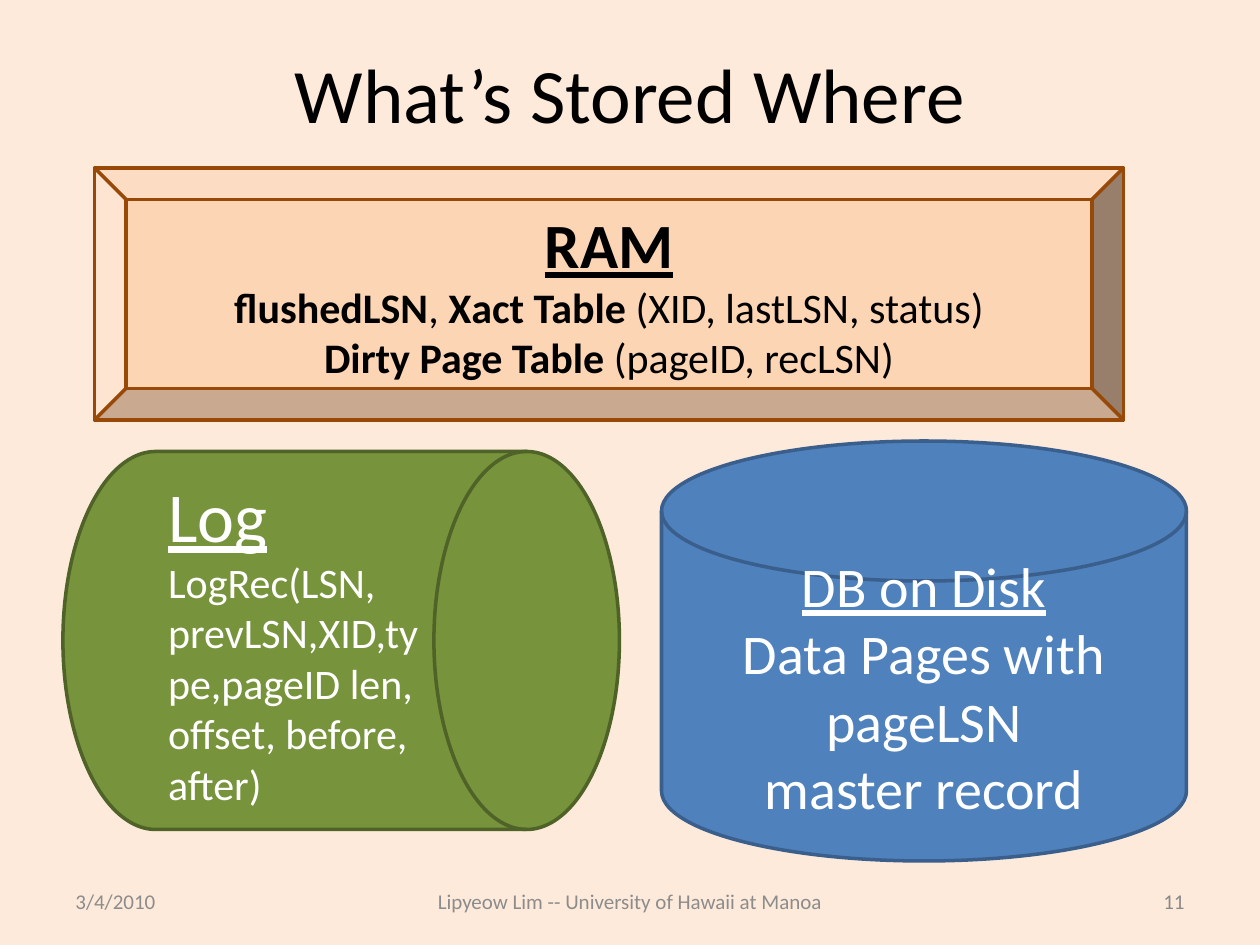
import pptx
import pptx.dml.color
import pptx.enum.shapes
import pptx.enum.text
import pptx.util

RGBColor = pptx.dml.color.RGBColor
Shape = pptx.enum.shapes.MSO_SHAPE
Align = pptx.enum.text.PP_ALIGN
Anchor = pptx.enum.text.MSO_ANCHOR

EMU_PER_PX = 7620
FONT = "Calibri"
BACKGROUND = RGBColor(0xFD, 0xEA, 0xDA)
BLACK = RGBColor(0, 0, 0)
WHITE = RGBColor(0xFF, 0xFF, 0xFF)
GRAY = RGBColor(0x8C, 0x8C, 0x8C)
NUMBER_GRAY = RGBColor(0x89, 0x89, 0x89)
RAM_FILL = RGBColor(0xFC, 0xD5, 0xB5)
RAM_LINE = RGBColor(0x98, 0x48, 0x07)
LOG_FILL = RGBColor(0x77, 0x93, 0x3C)
LOG_LINE = RGBColor(0x4F, 0x62, 0x28)
DISK_FILL = RGBColor(0x4F, 0x81, 0xBD)
DISK_LINE = RGBColor(0x3A, 0x5F, 0x8C)


def px(value):
    return pptx.util.Emu(value * EMU_PER_PX)


def format_font(font, size, color, bold=False, underline=False):
    font.name = FONT
    font.size = pptx.util.Pt(size)
    font.color.rgb = color
    font.bold = bold
    font.underline = underline


def write_lines(shape, lines, color, alignment):
    """Each line is (size, underline, [(text, bold), ...])."""
    text_frame = shape.text_frame
    text_frame.word_wrap = True
    text_frame.vertical_anchor = Anchor.MIDDLE
    for index, (size, underline, pieces) in enumerate(lines):
        paragraph = text_frame.paragraphs[0] if index == 0 else text_frame.add_paragraph()
        paragraph.alignment = alignment
        for text, bold in pieces:
            run = paragraph.add_run()
            run.text = text
            format_font(run.font, size, color, bold, underline)


def add_store(slide, box, kind, fill, line):
    shape = slide.shapes.add_shape(kind, *map(px, box))
    shape.shadow.inherit = False
    shape.fill.solid()
    shape.fill.fore_color.rgb = fill
    shape.line.color.rgb = line
    shape.line.width = pptx.util.Pt(2)
    return shape


def add_title(slide, box):
    title = slide.shapes.title
    title.left, title.top, title.width, title.height = map(px, box)
    write_lines(title, [(44, False, [("What’s Stored Where", False)])], BLACK, Align.CENTER)


def add_footer(slide, box):
    left, top, width, height = box
    side, middle = 280, 480
    parts = [
        (0, side, "3/4/2010", Align.LEFT, GRAY),
        ((width - middle) // 2, middle, "Lipyeow Lim -- University of Hawaii at Manoa",
         Align.CENTER, GRAY),
        (width - side, side, "11", Align.RIGHT, NUMBER_GRAY),
    ]
    for offset, part_width, text, alignment, color in parts:
        text_box = slide.shapes.add_textbox(px(left + offset), px(top), px(part_width), px(height))
        write_lines(text_box, [(12, False, [(text, False)])], color, alignment)


def add_disk(slide, box):
    disk = add_store(slide, box, Shape.FLOWCHART_MAGNETIC_DISK, DISK_FILL, DISK_LINE)
    write_lines(disk, [
        (32, True, [("DB on Disk", False)]),
        (32, False, [("Data Pages with pageLSN", False)]),
        (32, False, [("master record", False)]),
    ], WHITE, Align.CENTER)


def add_log(slide, box):
    log = add_store(slide, box, Shape.FLOWCHART_DIRECT_ACCESS_STORAGE, LOG_FILL, LOG_LINE)
    write_lines(log, [
        (40, True, [("Log", False)]),
        (24, False, [("LogRec(LSN, prevLSN,XID,type,pageID len, offset, before, after)", False)]),
    ], WHITE, Align.LEFT)


def add_ram(slide, box):
    ram = add_store(slide, box, Shape.BEVEL, RAM_FILL, RAM_LINE)
    write_lines(ram, [
        (36, True, [("RAM", True)]),
        (24, False, [("flushedLSN", True), (", ", False), ("Xact Table ", True),
                     ("(XID, lastLSN, status)", False)]),
        (24, False, [("Dirty Page Table ", True), ("(pageID, recLSN)", False)]),
    ], BLACK, Align.CENTER)


def main():
    presentation = pptx.Presentation()
    presentation.slide_width = px(1200)
    presentation.slide_height = px(900)
    slide = presentation.slides.add_slide(presentation.slide_layouts[5])
    slide.background.fill.solid()
    slide.background.fill.fore_color.rgb = BACKGROUND
    add_title(slide, (60, 36, 1080, 104))
    add_footer(slide, (60, 834, 1080, 48))
    add_disk(slide, (630, 420, 500, 400))
    add_log(slide, (60, 430, 530, 360))
    add_ram(slide, (90, 160, 980, 240))
    presentation.save("out.pptx")


if __name__ == "__main__":
    main()
